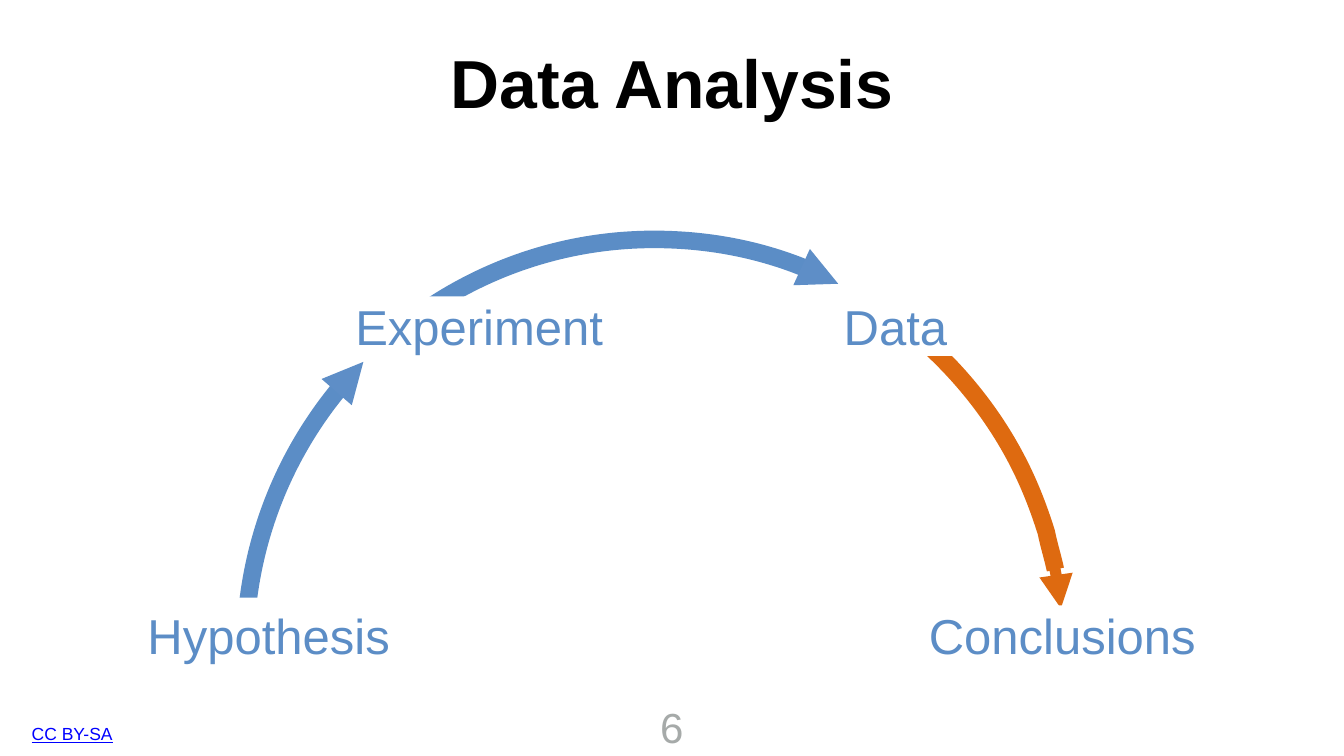
import pptx
import pptx.util
import pptx.dml.color
import pptx.enum.shapes
import pptx.enum.text
import pptx.oxml.ns
from lxml import etree

Pt = pptx.util.Pt
qn = pptx.oxml.ns.qn
RECT = pptx.enum.shapes.MSO_SHAPE.RECTANGLE
MIDDLE = pptx.enum.text.MSO_ANCHOR.MIDDLE
TOP = pptx.enum.text.MSO_ANCHOR.TOP
CENTER = pptx.enum.text.PP_ALIGN.CENTER

BLUE, ORANGE, WHITE = "5B8DC6", "DE6A10", "FFFFFF"
LABEL, HEAD = "5C8DC6", "5E8EC7"

# Curves and heads, in points from the diagram's top left corner
ARC = [(191.5, 524), (224, 227.5), (474, 0), (772.5, 0),
       (847.5, 0), (919.5, 13.5), (985.5, 40)]
START = [(1164.2, 151.2), (1216, 198.7), (1260, 255), (1292.4, 318.2)]
THIN = START + [(1324.8, 382.3), (1346.4, 456.5), (1353.6, 527)]
THICK = START + [(1309, 350.6), (1321.9, 383.8), (1332.7, 418.3),
                 (1336.3, 436.3), (1342, 454), (1345.7, 471.6)]
DATA_TIP = [(1035.4, 63.4), (971.3, 65.5), (995, 13.7)]
TEST_TIP = [(357.1, 175), (340.6, 236.9), (297.4, 199.4)]


def color(code):
    return pptx.dml.color.RGBColor.from_string(code)


def paint(shape, code):
    shape.shadow.inherit = False
    shape.fill.solid()
    shape.fill.fore_color.rgb = color(code)
    shape.line.fill.background()


def write(shape, text, size, code, inset, anchor=MIDDLE, wrap=True,
          bold=False, under=False):
    frame = shape.text_frame
    frame.text = text
    frame.word_wrap = wrap
    frame.vertical_anchor = anchor
    frame.margin_left = frame.margin_right = Pt(inset)
    frame.margin_top = frame.margin_bottom = Pt(inset)
    line = frame.paragraphs[0]
    line.alignment = CENTER
    run = line.runs[0]
    font = run.font
    font.name, font.size = "Arial", Pt(size)
    font.bold, font.underline = bold, under
    font.color.rgb = color(code)
    run._r.get_or_add_rPr().set("kern", "0")


def outline(slide, x, y, points, close):
    spots = [(Pt(x + px), Pt(y + py)) for px, py in points]
    pen = slide.shapes.build_freeform(*spots[0])
    pen.add_line_segments(spots[1:], close=close)
    return pen.convert_to_shape()


def bend(shape):
    """Turn each three line segments into one cubic curve."""
    lines = list(shape._element.iter(qn("a:lnTo")))
    for i in range(0, len(lines), 3):
        cubic = etree.Element(qn("a:cubicBezTo"))
        lines[i].addprevious(cubic)
        for line in lines[i:i + 3]:
            cubic.append(line[0])
            line.getparent().remove(line)


def curve(slide, x, y, knots, code, width, arrow=False):
    shape = outline(slide, x, y, knots, False)
    bend(shape)
    shape.shadow.inherit = False
    shape.fill.background()
    shape.line.color.rgb = color(code)
    shape.line.width = Pt(width)
    if arrow:
        line = shape.line._get_or_add_ln()
        etree.SubElement(line, qn("a:tailEnd"), type="triangle")


def tip(slide, x, y, points, left, top, turn):
    # White square ends the arc, the triangle points on
    mask = slide.shapes.add_shape(RECT, Pt(x + left), Pt(y + top),
                                  Pt(82), Pt(81.4))
    mask.rotation = turn
    paint(mask, WHITE)
    paint(outline(slide, x, y, points, True), HEAD)


def label(slide, text, left, top, width, height=85):
    shape = slide.shapes.add_shape(RECT, Pt(left), Pt(top),
                                   Pt(width), Pt(height))
    paint(shape, WHITE)
    write(shape, text, 70, LABEL, 7.2)


def cycle(slide, x, y):
    # Arc from hypothesis to data
    curve(slide, x, y, ARC, BLUE, 25)
    tip(slide, x, y, DATA_TIP, 980.6, 16.6, 114.9)
    # Arrow from data to conclusions
    curve(slide, x, y, THIN, ORANGE, 16, arrow=True)
    curve(slide, x, y, THICK, ORANGE, 25)
    # Stages, which cover the ends of the curves
    label(slide, "Conclusions", x + 1114.6, y + 522.9, 481.7)
    label(slide, "Hypothesis", x, y + 511.9, 443.5, 107.3)
    tip(slide, x, y, TEST_TIP, 306, 146.2, 41.5)
    label(slide, "Experiment", x + 293.8, y + 81.4, 457.2)
    label(slide, "Data", x + 1008, y + 81.4, 218.2)


def heading(slide, x, y, width, height):
    title = slide.shapes.title
    title.left, title.top = Pt(x), Pt(y)
    title.width, title.height = Pt(width), Pt(height)
    write(title, "Data Analysis", 97, "000000", 4.3, bold=True)


def footer(slide, x, y):
    # Licence and page number
    note = slide.shapes.add_textbox(Pt(x), Pt(y + 30.9), Pt(130.3), Pt(41.8))
    write(note, "CC BY-SA", 25, "0000FF", 5.8, wrap=False, under=True)
    page = slide.shapes.add_textbox(Pt(x + 882.3), Pt(y), Pt(79.2), Pt(83.5))
    write(page, "6", 60, "A6AAA9", 5.8, anchor=TOP, wrap=False)


def main():
    deck = pptx.Presentation()
    deck.slide_width, deck.slide_height = Pt(1920), Pt(1080)
    slide = deck.slides.add_slide(deck.slide_layouts[5])
    heading(slide, 481, 21.6, 958.3, 188.6)
    cycle(slide, 162, 342)
    footer(slide, 37.9, 996.5)
    deck.save("out.pptx")


if __name__ == "__main__":
    main()
